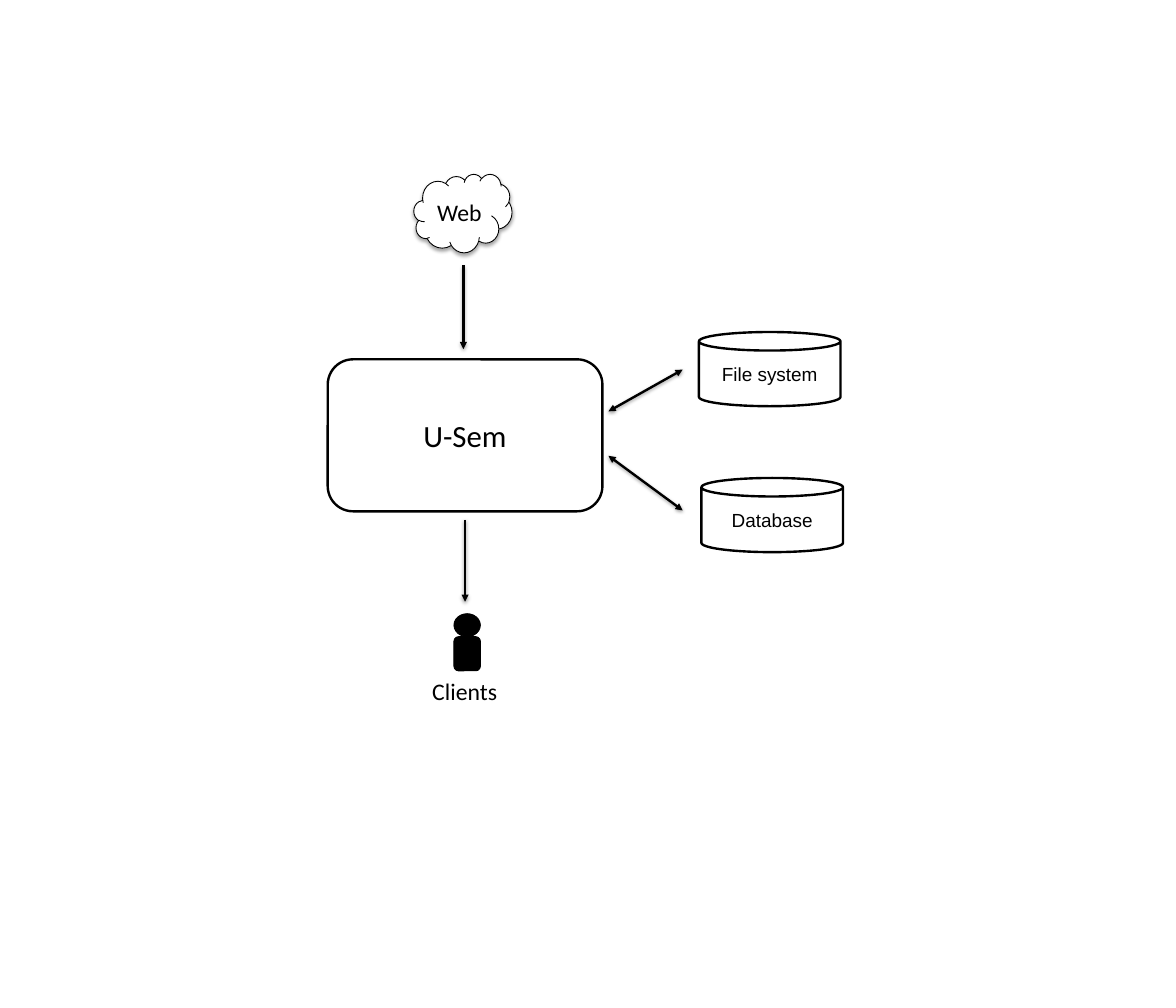
from lxml import etree
from pptx import Presentation
from pptx.dml.color import RGBColor
from pptx.enum import shapes, text
from pptx.oxml.ns import qn
from pptx.util import Pt

BLACK = RGBColor(0, 0, 0)
WHITE = RGBColor(255, 255, 255)
KIND = shapes.MSO_SHAPE

# Content: kind, label, (left, top, width, height), line width, font, size
NODES = [
    (KIND.CLOUD, "Web", (349.2, 146.9, 82.8, 66.2), 0.75, "Calibri", 20),
    (KIND.FLOWCHART_ALTERNATE_PROCESS, "U-Sem", (276.5, 303.1, 231.8, 128.2), 2, "Calibri", 26),
    (KIND.CAN, "File system", (589.7, 280.1, 119.5, 62.6), 2, "Arial", 16),
    (KIND.CAN, "Database", (591.8, 403.2, 119.5, 62.6), 2, "Arial", 16),
]
# Arrows: start, end, whether both ends have heads
ARROWS = [
    ((391, 223.9), (391, 294.5), False),
    ((392.4, 438.5), (392.4, 507.6), False),
    ((513.4, 347), (576, 311.8), True),
    ((513.4, 384.5), (576, 430.6), True),
]
# Client figure: left, top, width, then head and body heights
FIGURE_X, FIGURE_Y, FIGURE_W = 383, 517.7, 22.3
FIGURE_PARTS = [(KIND.OVAL, 19.4), (KIND.ROUNDED_RECTANGLE, 28.8)]
CLIENTS_BOX = (345.6, 567.4, 92.9, 31.7)


def add_shadow(sp, opacity, dist):
    props = sp._element.spPr
    effects = props.find(qn("a:effectLst"))
    if effects is None:
        effects = etree.SubElement(props, qn("a:effectLst"))
    shadow = etree.SubElement(effects, qn("a:outerShdw"), blurRad=str(Pt(3.1)),
                              dist=str(Pt(dist)), dir="5400000", rotWithShape="0")
    color = etree.SubElement(shadow, qn("a:srgbClr"), val=str(BLACK))
    etree.SubElement(color, qn("a:alpha"), val=str(opacity * 1000))


def add_box(parent, kind, box, fill, line_width):
    sp = parent.add_shape(kind, *map(Pt, box))
    sp.shadow.inherit = False
    sp.fill.solid()
    sp.fill.fore_color.rgb = fill
    sp.line.color.rgb = BLACK
    sp.line.width = Pt(line_width)
    return sp


def write(sp, label, font, size, anchor):
    tf = sp.text_frame
    tf.word_wrap = True
    tf.vertical_anchor = anchor
    p = tf.paragraphs[0]
    p.alignment = text.PP_ALIGN.CENTER
    r = p.add_run()
    r.text = label
    for name, value in {"name": font, "size": Pt(size)}.items():
        setattr(r.font, name, value)
    r.font.color.rgb = BLACK


prs = Presentation()
prs.slide_width, prs.slide_height = Pt(992.2), Pt(850.3)
s = prs.slides.add_slide(prs.slide_layouts[6])

# System, its source and its stores
for kind, label, box, line_width, font, size in NODES:
    sp = add_box(s.shapes, kind, box, WHITE, line_width)
    write(sp, label, font, size, text.MSO_ANCHOR.MIDDLE)
    if kind == KIND.CLOUD:
        add_shadow(sp, 35, 1.8)

# Data flows
for start, end, both_ways in ARROWS:
    arrow = s.shapes.add_connector(shapes.MSO_CONNECTOR.STRAIGHT, *map(Pt, start + end))
    arrow.line.color.rgb = BLACK
    arrow.line.width = Pt(2)
    ln = arrow.line._get_or_add_ln()
    for tag in ("a:headEnd", "a:tailEnd") if both_ways else ("a:tailEnd",):
        etree.SubElement(ln, qn(tag), type="triangle")
    add_shadow(arrow, 38, 1.6)

# Clients: figure with its caption
clients = s.shapes.add_group_shape()
top = FIGURE_Y
for kind, height in FIGURE_PARTS:
    add_box(clients.shapes, kind, (FIGURE_X, top, FIGURE_W, height), BLACK, 0.75)
    top += height
caption = clients.shapes.add_textbox(*map(Pt, CLIENTS_BOX))
write(caption, "Clients", "Calibri", 20, text.MSO_ANCHOR.TOP)

prs.save("out.pptx")
